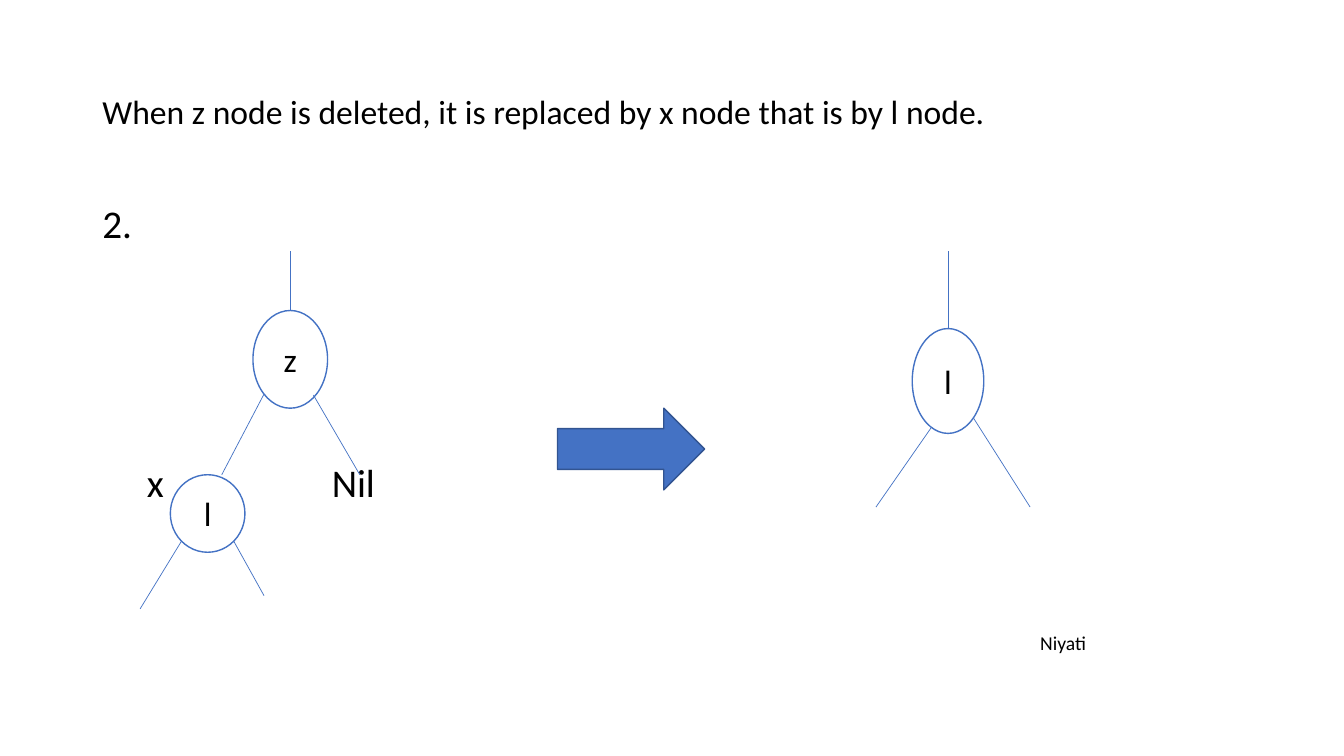
from dataclasses import dataclass

from lxml import etree
from pptx import Presentation
from pptx.dml.color import RGBColor
from pptx.enum import shapes, text
from pptx.oxml import ns
from pptx.util import Pt


@dataclass(frozen=True)
class Theme:
    font: str = "Calibri"
    ink: RGBColor = RGBColor(0x00, 0x00, 0x00)
    paper: RGBColor = RGBColor(0xFF, 0xFF, 0xFF)
    blue: RGBColor = RGBColor(0x44, 0x72, 0xC4)
    edge: RGBColor = RGBColor(0x32, 0x54, 0x91)
    heading: int = 24
    label: int = 28
    author: int = 14
    outline: float = 1
    branch: float = 0.5


THEME = Theme()
SLIDE_SIZE = (960, 540)
TITLE = "When z node is deleted, it is replaced by x node that is by l node."
TITLE_AREA = (66, 28.8, 828, 104.4)
STEM_TOP = 179.3
ARROW_AREA = (398.2, 291.6, 105.1, 58.3)

NODES = [
    {"name": "z", "area": (180.7, 221.8, 53.3, 69.8), "stem": True,
     "branches": [(188.6, 281.5, 158.4, 339.1), (223.9, 282.2, 257, 339.1)]},
    {"name": "l", "area": (121.7, 339.1, 53.3, 55.4), "stem": False,
     "branches": [(129.6, 386.6, 100.1, 434.9), (167, 386.6, 188.6, 425.5)]},
    {"name": "l", "area": (651.6, 234.7, 51.1, 74.9), "stem": True,
     "branches": [(665.3, 305.3, 625.7, 362.2), (695.5, 298.8, 735.8, 362.2)]},
]

LABELS = [
    ("2.", 73.2, 169.3, THEME.label),
    ("x", 105, 353.6, THEME.label),
    ("Nil", 237, 353.6, THEME.label),
    ("Niyati", 743, 463.6, THEME.author),
]


def points(values):
    return [Pt(value) for value in values]


def write(frame, words, size, align):
    frame.margin_left = frame.margin_right = 0
    frame.margin_top = frame.margin_bottom = 0
    para = frame.paragraphs[0]
    para.alignment = align
    span = para.add_run()
    span.text = words
    span.font.name = THEME.font
    span.font.size = Pt(size)
    span.font.color.rgb = THEME.ink
    return para


def add_title(page):
    title = page.shapes.title
    title.left, title.top, title.width, title.height = points(TITLE_AREA)
    frame = title.text_frame
    frame.word_wrap = True
    frame.vertical_anchor = text.MSO_ANCHOR.MIDDLE
    para = write(frame, TITLE, THEME.heading, text.PP_ALIGN.LEFT)
    para.line_spacing = 0.9
    frame.margin_left = frame.margin_right = Pt(7.2)


def add_label(page, words, left, baseline, size):
    area = (left, baseline - 0.95 * size, 2.6 * size + 20, 1.22 * size)
    box = page.shapes.add_textbox(*points(area))
    box.text_frame.word_wrap = True
    write(box.text_frame, words, size, text.PP_ALIGN.LEFT)


def add_shape(page, kind, area, fill, edge):
    shape = page.shapes.add_shape(kind, *points(area))
    shape.shadow.inherit = False
    shape.fill.solid()
    shape.fill.fore_color.rgb = fill
    shape.line.color.rgb = edge
    shape.line.width = Pt(THEME.outline)
    return shape


def add_branch(page, ends):
    branch = page.shapes.add_connector(shapes.MSO_CONNECTOR.STRAIGHT, *points(ends))
    branch.line.color.rgb = THEME.blue
    branch.line.width = Pt(THEME.branch)
    etree.SubElement(branch._element.spPr, ns.qn("a:effectLst"))
    return branch


def add_node(page, name, area, stem, branches):
    node = add_shape(page, shapes.MSO_SHAPE.OVAL, area, THEME.paper, THEME.blue)
    node.text_frame.vertical_anchor = text.MSO_ANCHOR.MIDDLE
    write(node.text_frame, name, THEME.heading, text.PP_ALIGN.CENTER)
    if stem:
        left, top, width, height = area
        center = left + width / 2
        add_branch(page, (center, STEM_TOP, center, top)).end_connect(node, 0)
    for ends in branches:
        add_branch(page, ends)


def main():
    deck = Presentation()
    deck.slide_width, deck.slide_height = points(SLIDE_SIZE)
    page = deck.slides.add_slide(deck.slide_layouts.get_by_name("Title Only"))
    add_title(page)
    for label in LABELS:
        add_label(page, *label)
    for node in NODES:
        add_node(page, **node)
    add_shape(page, shapes.MSO_SHAPE.RIGHT_ARROW, ARROW_AREA, THEME.blue, THEME.edge)
    deck.save("out.pptx")


if __name__ == "__main__":
    main()
